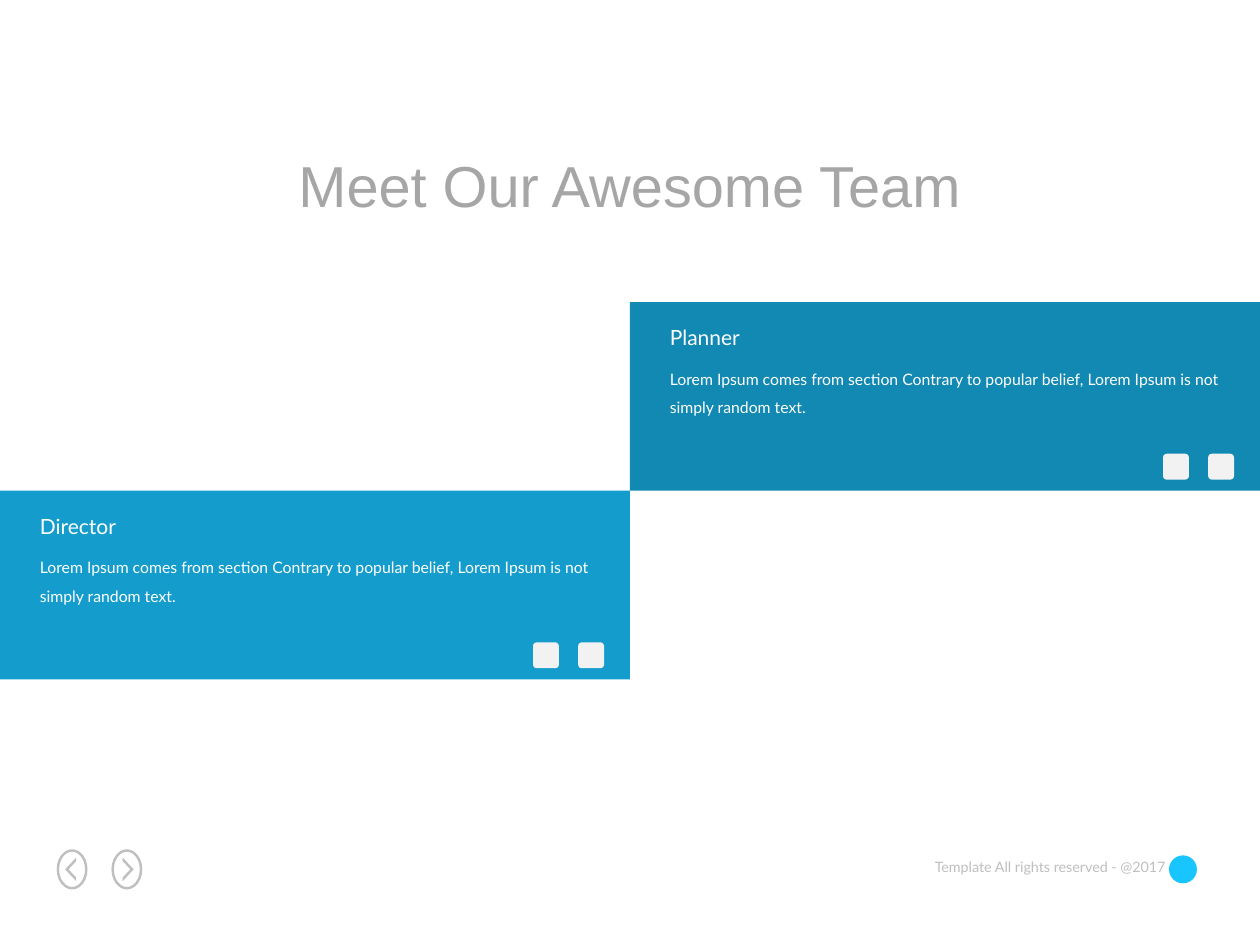
from dataclasses import dataclass

from pptx import Presentation
from pptx.dml.color import RGBColor
from pptx.enum.shapes import MSO_SHAPE
from pptx.enum.text import MSO_ANCHOR, MSO_AUTO_SIZE, PP_ALIGN
from pptx.util import Pt

RECTANGLE, ROUNDED, OVAL = MSO_SHAPE.RECTANGLE, MSO_SHAPE.ROUNDED_RECTANGLE, MSO_SHAPE.OVAL
LEFT, CENTER, RIGHT = PP_ALIGN.LEFT, PP_ALIGN.CENTER, PP_ALIGN.RIGHT
TOP, MIDDLE = MSO_ANCHOR.TOP, MSO_ANCHOR.MIDDLE
NO_FIT = MSO_AUTO_SIZE.NONE

WHITE = RGBColor(0xFF, 0xFF, 0xFF)
TITLE_GRAY = RGBColor(0xA6, 0xA6, 0xA6)
FOOTER_GRAY = RGBColor(0xBF, 0xBF, 0xBF)
ICON_GRAY = RGBColor(0xF2, 0xF2, 0xF2)
BLUE = RGBColor(0x14, 0x9D, 0xCC)
DARK_BLUE = RGBColor(0x11, 0x89, 0xB2)
BRIGHT_BLUE = RGBColor(0x19, 0xC5, 0xFF)

CARD_WIDTH, CARD_HEIGHT = 360, 107.8
CARDS_TOP = 172.6
BIO = ("Lorem Ipsum comes from section Contrary to popular belief, "
       "Lorem Ipsum is not simply random text.")


@dataclass(frozen=True)
class Area:
    left: float
    top: float
    width: float
    height: float

    def lengths(self):
        return Pt(self.left), Pt(self.top), Pt(self.width), Pt(self.height)


@dataclass(frozen=True)
class Style:
    size: float
    color: RGBColor
    font: str = "Lato"
    align: PP_ALIGN = LEFT
    anchor: MSO_ANCHOR = TOP
    wrap: bool = False
    spacing: float = 1.0


@dataclass(frozen=True)
class Member:
    role: str
    role_width: float
    column: int
    row: int
    color: RGBColor


@dataclass(frozen=True)
class NavButton:
    left: float
    direction: int


TITLE_STYLE = Style(33, TITLE_GRAY, "Arial", CENTER, MIDDLE)
FOOTER_STYLE = Style(8.2, FOOTER_GRAY, align=RIGHT)
ROLE_STYLE = Style(12, WHITE)
BIO_STYLE = Style(9, WHITE, wrap=True, spacing=1.5)

MEMBERS = [
    Member("Director", 59, 0, 1, BLUE),
    Member("Planner", 55.4, 1, 0, DARK_BLUE),
]
NAV_BUTTONS = [NavButton(33.1, -1), NavButton(64.4, 1)]


def write_text(box, text: str, style: Style) -> None:
    frame = box.text_frame
    frame.text = text
    para = frame.paragraphs[0]
    formats = [
        (frame, {"auto_size": NO_FIT, "word_wrap": style.wrap,
                 "vertical_anchor": style.anchor}),
        (para, {"alignment": style.align, "line_spacing": style.spacing}),
        (para.runs[0].font, {"name": style.font, "size": Pt(style.size)}),
    ]
    for target, values in formats:
        for name, value in values.items():
            setattr(target, name, value)
    para.runs[0].font.color.rgb = style.color


def add_text(slide, area: Area, text: str, style: Style) -> None:
    write_text(slide.shapes.add_textbox(*area.lengths()), text, style)


def paint(shape, color: RGBColor) -> None:
    shape.shadow.inherit = False
    shape.fill.solid()
    shape.fill.fore_color.rgb = color
    shape.line.fill.background()


def add_filled(slide, kind: MSO_SHAPE, area: Area, color: RGBColor):
    shape = slide.shapes.add_shape(kind, *area.lengths())
    paint(shape, color)
    return shape


def add_member(slide, member: Member) -> None:
    left = member.column * CARD_WIDTH
    top = CARDS_TOP + member.row * CARD_HEIGHT
    add_filled(slide, RECTANGLE, Area(left, top, CARD_WIDTH, CARD_HEIGHT), member.color)
    add_text(slide, Area(left + 15.7, top + 29.5, 330, 40.3), BIO, BIO_STYLE)
    add_text(slide, Area(left + 15.7, top + 9.3, member.role_width, 21.6),
             member.role, ROLE_STYLE)
    for offset in (304.6, 330.4):
        icon = add_filled(slide, ROUNDED, Area(left + offset, top + 86.7, 14.8, 14.8),
                          ICON_GRAY)
        icon.adjustments[0] = 0.14


def add_nav_button(slide, button: NavButton) -> None:
    """Draw an oval ring with a chevron pointing left (-1) or right (1)."""
    ring = slide.shapes.add_shape(OVAL, *Area(button.left, 486, 16.2, 21.6).lengths())
    ring.shadow.inherit = False
    ring.fill.background()
    ring.line.color.rgb = FOOTER_GRAY
    ring.line.width = Pt(1.4)

    center_x, center_y = button.left + 8.1, 496.8
    offsets = [(-2.4, -4.7), (2, 0), (-2.4, 4.7), (-2.4, 6.8), (3.9, 0), (-2.4, -6.8)]
    points = [(Pt(center_x + button.direction * x), Pt(center_y + y)) for x, y in offsets]
    builder = slide.shapes.build_freeform(*points[0], scale=1.0)
    builder.add_line_segments(points[1:], close=True)
    paint(builder.convert_to_shape(), FOOTER_GRAY)


def main() -> None:
    deck = Presentation()
    deck.slide_width, deck.slide_height = Pt(720), Pt(540)
    slide = deck.slides.add_slide(deck.slide_layouts[5])

    title = slide.shapes.title
    title.left, title.top, title.width, title.height = Area(160, 81.4, 399.6, 47.5).lengths()
    write_text(title, "Meet Our Awesome Team", TITLE_STYLE)

    add_text(slide, Area(522, 486.7, 151.2, 17.3),
             "Template All rights reserved - @2017", FOOTER_STYLE)
    for button in NAV_BUTTONS:
        add_nav_button(slide, button)
    add_filled(slide, OVAL, Area(668, 488.8, 16, 16), BRIGHT_BLUE)
    for member in MEMBERS:
        add_member(slide, member)

    deck.save("out.pptx")


if __name__ == "__main__":
    main()
